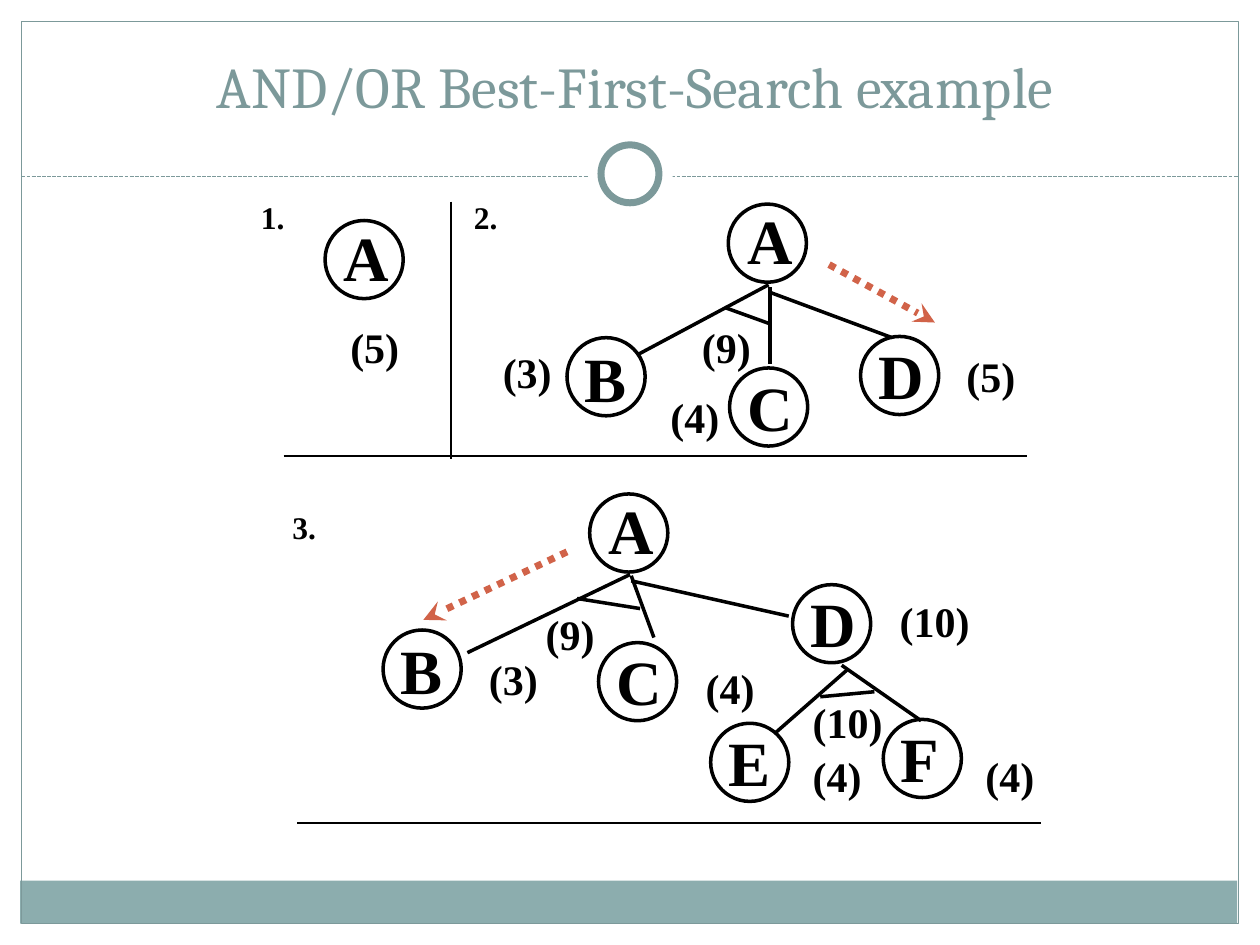
from lxml import etree
from pptx import Presentation
from pptx.dml.color import RGBColor
from pptx.enum.dml import MSO_LINE
from pptx.enum.shapes import MSO_CONNECTOR, MSO_SHAPE
from pptx.enum.text import MSO_ANCHOR, MSO_AUTO_SIZE, PP_ALIGN
from pptx.oxml.ns import qn
from pptx.util import Inches, Pt

TITLE = "AND/OR Best-First-Search example"
BLACK, WHITE, TEAL, BAND, ORANGE = "000000", "FFFFFF", "7C999A", "8CADAE", "D16349"
NODE_SIZE = 0.62
LETTER_OFFSETS = {"A": (0.08, 0.03), "B": (0.07, 0.06)}
DEFAULT_OFFSET = (0.07, 0.05)

# Each step of the search: number, node circles, costs, edges and AND arcs, arrow
STEPS = [
    {
        "number": ("1.", 2, 1.58),
        "nodes": [("A", 2.58, 1.75)],
        "costs": [("(5)", 2.71, 2.58)],
        "edges": [],
        "arrows": [],
    },
    {
        "number": ("2.", 3.69, 1.58),
        "nodes": [("A", 5.78, 1.62), ("B", 4.5, 2.68), ("C", 5.79, 2.92), ("D", 6.83, 2.67)],
        "costs": [("(3)", 3.92, 2.78), ("(4)", 5.25, 3.14), ("(5)", 7.6, 2.81), ("(9)", 5.5, 2.58)],
        "edges": [
            (6.11, 2.28, 6.11, 2.89), (6.1, 2.26, 5.07, 2.81),
            (6.11, 2.32, 7.08, 2.68), (5.75, 2.44, 6.11, 2.57),
        ],
        "arrows": [(6.58, 2.1, 7.42, 2.56)],
    },
    {
        "number": ("3.", 2.25, 4.04),
        "nodes": [
            ("A", 4.68, 3.92), ("B", 3.04, 5), ("C", 4.75, 5.1),
            ("D", 6.29, 4.64), ("E", 5.64, 5.74), ("F", 7.01, 5.71),
        ],
        "costs": [
            ("(4)", 6.38, 5.99), ("(4)", 7.75, 5.99), ("(10)", 6.38, 5.56), ("(3)", 3.81, 5.22),
            ("(9)", 4.26, 4.86), ("(4)", 5.53, 5.29), ("(10)", 7.07, 4.76),
        ],
        "edges": [
            (5.01, 4.57, 5.19, 5.06), (5, 4.56, 3.71, 5.18), (5.01, 4.61, 6.26, 4.89),
            (4.58, 4.75, 5.08, 4.83), (6.72, 5.32, 6.15, 5.82), (6.68, 5.28, 7.31, 5.72),
            (6.51, 5.53, 6.94, 5.49),
        ],
        "arrows": [(4.5, 4.38, 3.36, 4.92)],
    },
]
DIVIDERS = [(2.25, 3.62, 8.15, 3.62), (3.58, 1.6, 3.58, 3.64), (2.36, 6.53, 8.26, 6.53)]

# Text styles: height, line spacing and font
LETTER = (0.58, 0.88, {"size": Pt(36), "name": "Times New Roman", "bold": True})
COST = (0.4, 0.85, {"size": Pt(24), "name": "Times New Roman", "bold": True})
NUMBER = (0.32, 0.88, {"size": Pt(18), "name": "Times New Roman", "bold": True})
WIDTHS = {"B": 0.72, "E": 0.72, "F": 0.69, "(10)": 0.86}


def color(value):
    return RGBColor.from_string(value)


def set_format(target, values):
    for name, value in values.items():
        setattr(target, name, value)


def add_shape(page, kind, place, fill=None, line=None, weight=1):
    shape = page.shapes.add_shape(kind, *map(Inches, place))
    shape.shadow.inherit = False
    if fill:
        shape.fill.solid()
        shape.fill.fore_color.rgb = color(fill)
    else:
        shape.fill.background()
    if line:
        shape.line.color.rgb = color(line)
        shape.line.width = Pt(weight)
    else:
        shape.line.fill.background()


def add_line(page, ends, weight, ink=BLACK, dash=None, head=False):
    line = page.shapes.add_connector(MSO_CONNECTOR.STRAIGHT, *map(Inches, ends))
    line.line.color.rgb = color(ink)
    line.line.width = Pt(weight)
    if dash:
        line.line.dash_style = dash
    if head:
        etree.SubElement(line.line._get_or_add_ln(), qn("a:tailEnd"), type="stealth")
    etree.SubElement(line._element.spPr, qn("a:effectLst"))


def add_text(page, text, left, top, style, width):
    height, spacing, font = style
    box = page.shapes.add_textbox(*map(Inches, (left, top, width, height)))
    set_format(box.text_frame, {
        "margin_left": Inches(0.07), "margin_right": Inches(0.07),
        "margin_top": Inches(0.03), "margin_bottom": Inches(0.03),
        "word_wrap": False, "auto_size": MSO_AUTO_SIZE.SHAPE_TO_FIT_TEXT,
    })
    para = box.text_frame.paragraphs[0]
    para.line_spacing = spacing
    span = para.add_run()
    span.text = text
    set_format(span.font, font)
    span.font.color.rgb = color(BLACK)


def add_frame(page):
    """Draw the border, bottom band and ring of the theme."""
    add_shape(page, MSO_SHAPE.RECTANGLE, (0.16, 6.99, 9.66, 0.34), fill=BAND)
    add_shape(page, MSO_SHAPE.RECTANGLE, (0.17, 0.17, 9.66, 7.16), line=TEAL, weight=0.75)
    add_line(page, (0.17, 1.4, 9.83, 1.4), 0.75, TEAL, MSO_LINE.SQUARE_DOT)
    add_shape(page, MSO_SHAPE.OVAL, (4.67, 1.05, 0.67, 0.67), fill=WHITE)
    add_shape(page, MSO_SHAPE.OVAL, (4.77, 1.15, 0.46, 0.46), WHITE, TEAL, 4)


def add_title(page):
    title = page.shapes.title
    places = zip(("left", "top", "width", "height"), (0.25, 0, 9.58, 1))
    set_format(title, {name: Inches(value) for name, value in places})
    title.text_frame.text = TITLE
    set_format(title.text_frame, {
        "vertical_anchor": MSO_ANCHOR.BOTTOM, "word_wrap": True, "auto_size": MSO_AUTO_SIZE.NONE,
    })
    para = title.text_frame.paragraphs[0]
    para.alignment = PP_ALIGN.CENTER
    set_format(para.runs[0].font, {"size": Pt(33), "name": "Cambria"})
    para.runs[0].font.color.rgb = color(TEAL)


def add_step(page, step):
    for letter, left, top in step["nodes"]:
        add_shape(page, MSO_SHAPE.OVAL, (left, top, NODE_SIZE, NODE_SIZE), line=BLACK, weight=2)
        right, down = LETTER_OFFSETS.get(letter, DEFAULT_OFFSET)
        add_text(page, letter, left + right, top + down, LETTER, WIDTHS.get(letter, 0.75))
    for ends in step["edges"]:
        add_line(page, ends, 2)
    for cost, left, top in step["costs"]:
        add_text(page, cost, left, top, COST, WIDTHS.get(cost, 0.69))
    for ends in step["arrows"]:
        add_line(page, ends, 4, ORANGE, MSO_LINE.ROUND_DOT, head=True)
    add_text(page, *step["number"], NUMBER, 0.45)


def main():
    deck = Presentation()
    deck.slide_width, deck.slide_height = Inches(10), Inches(7.5)
    page = deck.slides.add_slide(deck.slide_layouts[5])
    add_frame(page)
    add_title(page)
    for step in STEPS:
        add_step(page, step)
    for ends in DIVIDERS:
        add_line(page, ends, 1)
    deck.save("out.pptx")


if __name__ == "__main__":
    main()
